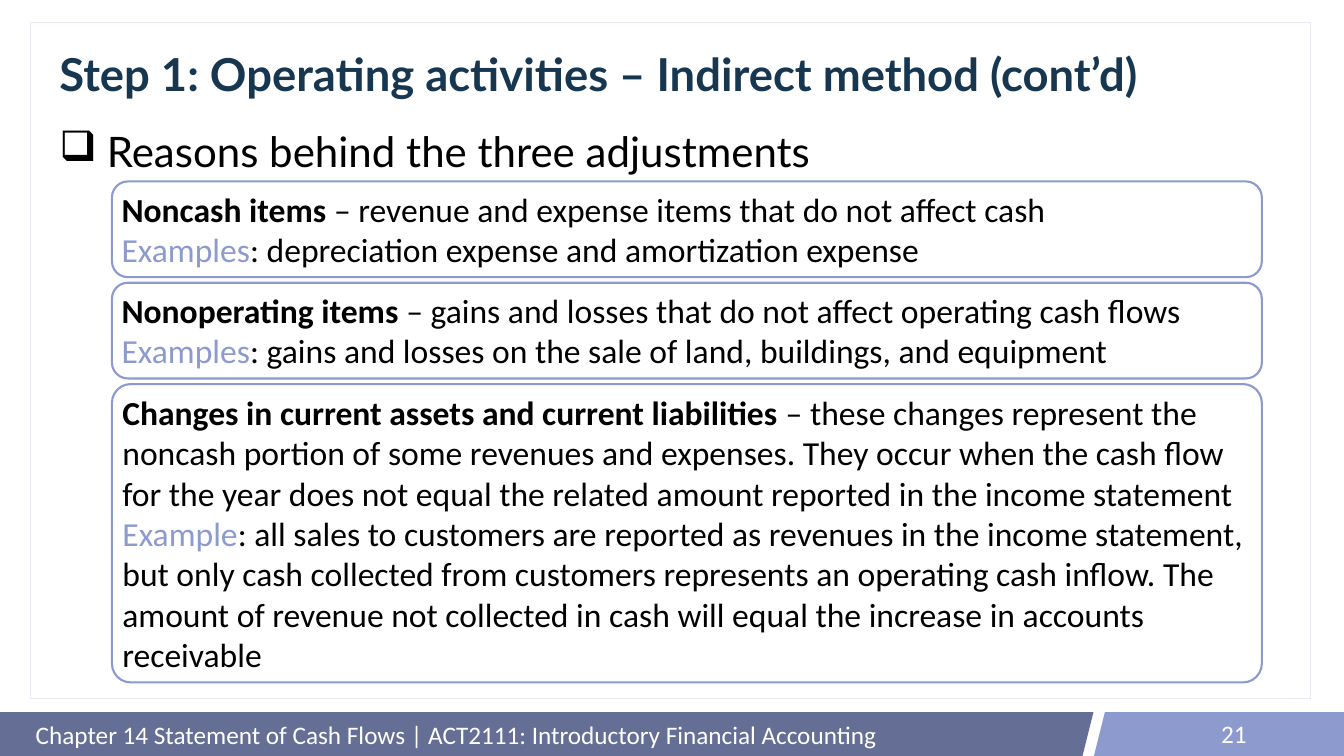
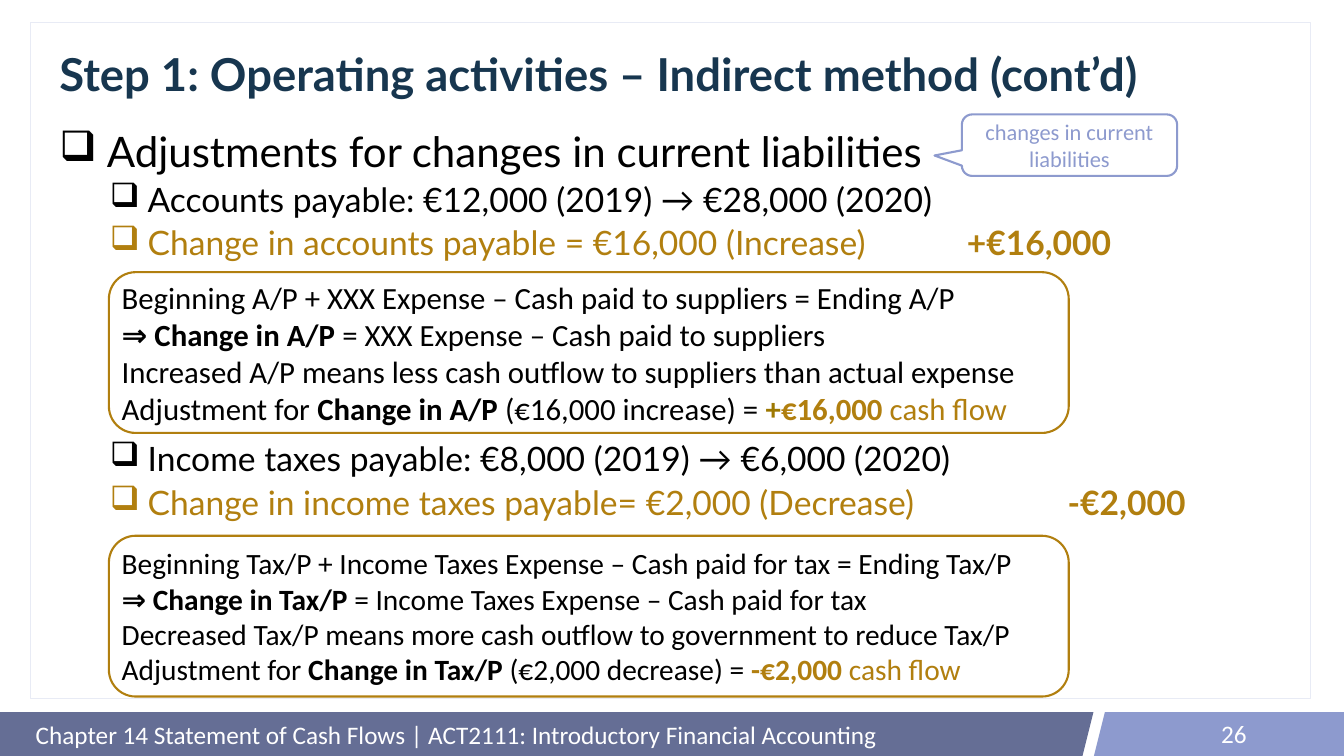
import pptx
import pptx.util
import pptx.dml.color
import pptx.enum.shapes
import pptx.enum.text
import pptx.oxml.ns
from lxml import etree

Inches, Pt = pptx.util.Inches, pptx.util.Pt
SHAPE = pptx.enum.shapes.MSO_SHAPE
ANCHOR = pptx.enum.text.MSO_ANCHOR
ALIGN = pptx.enum.text.PP_ALIGN
AUTO = pptx.enum.text.MSO_AUTO_SIZE
qn = pptx.oxml.ns.qn

COLORS = {
    "white": "FFFFFF", "black": "000000", "navy": "17364F",
    "slate": "656E95", "lilac": "8D9ACE", "frame": "E8EBF5",
    "gold": "B17F0F", "olive": "9D7801",
}
TITLE = "Step 1: Operating activities – Indirect method (cont’d)"
FOOTER = "Chapter 14 Statement of Cash Flows | ACT2111: Introductory Financial Accounting"


def rgb(name):
    return pptx.dml.color.RGBColor.from_string(COLORS[name])


class Deck:
    """Holds the shared style and the slide being built."""

    def __init__(self):
        self.prs = pptx.Presentation()
        self.prs.slide_width = Inches(26.66)
        self.prs.slide_height = Inches(15)
        self.s = None

    def slide(self, number):
        self.s = self.prs.slides.add_slide(self.prs.slide_layouts[6])
        # Footer band
        for kind, x, w, color in [
            (SHAPE.RECTANGLE, 0, 19.95, "slate"),
            (SHAPE.PARALLELOGRAM, 17.39, 4.3, "slate"),
            (SHAPE.PARALLELOGRAM, 21.7, 4.3, "lilac"),
            (SHAPE.RECTANGLE, 22.37, 4.29, "lilac"),
        ]:
            self.shape(kind, (x, 14.13, w, 0.87), color)
        # Content frame
        sp = self.shape(SHAPE.RECTANGLE, (0.61, 0.44, 25.39, 13.41), "white", "frame", 1)
        clr = sp.fill._xPr.find(qn("a:solidFill"))[0]
        etree.SubElement(clr, qn("a:alpha"), val="85000")
        # Title, footer text and page number
        tf = self.text((1.08, 0.8, 24.39, 1.45))
        p = self.para(tf, [(TITLE, "navy", True)], 64.8, "Lato")
        p.line_spacing = 0.9
        tf = self.text((0.61, 14.15, 20.6, 0.85))
        self.para(tf, [(FOOTER, "white")], 36)
        tf = self.text((18.83, 14.15, 6, 0.8))
        self.para(tf, [(str(number), "white")], 36).alignment = ALIGN.RIGHT

    def shape(self, kind, box, fill, line=None, width=3):
        sp = self.s.shapes.add_shape(kind, *map(Inches, box))
        sp.shadow.inherit = False
        sp.fill.solid()
        sp.fill.fore_color.rgb = rgb(fill)
        if line:
            sp.line.color.rgb = rgb(line)
            sp.line.width = Pt(width)
        else:
            sp.line.fill.background()
        return sp

    def text(self, box, anchor=ANCHOR.MIDDLE, fill=None):
        sp = self.s.shapes.add_textbox(*map(Inches, box))
        if fill:
            sp.fill.solid()
            sp.fill.fore_color.rgb = rgb(fill)
        tf = sp.text_frame
        tf.word_wrap = True
        tf.vertical_anchor = anchor
        return tf

    def para(self, tf, runs, size, font="Calibri"):
        """Add a paragraph; each run is (text, color, bold), the last two optional."""
        first = tf.paragraphs[0]
        p = tf.add_paragraph() if first.runs else first
        p.alignment = ALIGN.LEFT
        for text, color, bold in [(*run, "black", False)[:3] if len(run) == 1
                                  else (*run, False)[:3] for run in runs]:
            r = p.add_run()
            r.text = text
            r.font.name = font
            r.font.size = Pt(size)
            r.font.bold = bold
            r.font.color.rgb = rgb(color)
        return p

    def bullet(self, tf, runs, level=0, before=10, tab=None):
        p = self.para(tf, runs, (60, 48)[level], "Lato")
        p.level = level
        p.line_spacing = 0.9
        if level:
            p.space_before = Pt(before)
        margin, hang = ((0.94, 0.94), (1.75, 0.75))[level]
        pPr = p._p.get_or_add_pPr()
        pPr.set("marL", str(Inches(margin)))
        pPr.set("indent", str(-Inches(hang)))
        etree.SubElement(pPr, qn("a:buChar"), char="❑")
        if tab:
            tabs = etree.SubElement(pPr, qn("a:tabLst"))
            etree.SubElement(tabs, qn("a:tab"), pos=str(Inches(tab)), algn="l")

    def body(self, heading, fill=None):
        tf = self.text((1.08, 2.55, 24.39, 10.97), ANCHOR.TOP, fill)
        self.bullet(tf, [(heading,)])
        return tf

    def card(self, box, paras, size, line, anchor=ANCHOR.MIDDLE, adj=None, grow=False):
        sp = self.shape(SHAPE.ROUNDED_RECTANGLE, box, "white", line)
        if adj:
            sp.adjustments[0] = adj
        tf = sp.text_frame
        tf.word_wrap = True
        tf.vertical_anchor = anchor
        if grow:
            tf.auto_size = AUTO.SHAPE_TO_FIT_TEXT
        for runs in paras:
            self.para(tf, runs, size)

    def callout(self, box, text, adjustments):
        sp = self.shape(SHAPE.ROUNDED_RECTANGULAR_CALLOUT, box, "white", "lilac")
        for i, value in enumerate(adjustments):
            sp.adjustments[i] = value
        tf = sp.text_frame
        tf.word_wrap = True
        tf.vertical_anchor = ANCHOR.MIDDLE
        self.para(tf, [(text, "lilac")], 32).alignment = ALIGN.CENTER


def reasons(deck):
    deck.slide(21)
    deck.body("Reasons behind the three adjustments")
    # Cards: height, corner, term, meaning, example label, example
    cards = [
        (1.9, None, "Noncash items ", "– revenue and expense items that do not affect cash",
         "Examples", ": depreciation expense and amortization expense"),
        (1.9, None, "Nonoperating items ",
         "– gains and losses that do not affect operating cash flows",
         "Examples", ": gains and losses on the sale of land, buildings, and equipment"),
        (5.92, 0.063, "Changes in current assets and current liabilities ",
         "– these changes represent the noncash portion of some revenues and expenses. "
         "They occur when the cash flow for the year does not equal the related amount "
         "reported in the income statement",
         "Example", ": all sales to customers are reported as revenues in the income "
         "statement, but only cash collected from customers represents an operating cash "
         "inflow. The amount of revenue not collected in cash will equal the increase in "
         "accounts receivable"),
    ]
    y = 3.6
    for h, adj, term, meaning, label, example in cards:
        paras = [[(term, "black", True), (meaning,)], [(label, "lilac"), (example,)]]
        deck.card((2.22, y, 22.81, h), paras, 48, "lilac", ANCHOR.TOP, adj, True)
        y += h + 0.11


def liabilities(deck):
    deck.slide(26)
    tf = deck.body("Adjustments for changes in current liabilities", "white")
    # Account lines: space before, balances, change, tab stop, amount
    for before, balances, change, tab, amount in [
        (10, "Accounts payable: €12,000 (2019) → €28,000 (2020)",
         "Change in accounts payable = €16,000 (Increase)", 18, "+€16,000"),
        (257, "Income taxes payable: €8,000 (2019) → €6,000 (2020)",
         "Change in income taxes payable= €2,000 (Decrease)", 20, "-€2,000"),
    ]:
        deck.bullet(tf, [(balances,)], 1, before)
        deck.bullet(tf, [(change + "\t", "gold"), (amount, "gold", True)], 1, tab=tab)
    # Explanation cards
    for y, size, name, equation, result, meaning, change, amount in [
        (5.4, 44, "Change in A/P",
         "Beginning A/P + XXX Expense – Cash paid to suppliers = Ending A/P",
         "= XXX Expense – Cash paid to suppliers",
         "Increased A/P means less cash outflow to suppliers than actual expense",
         " (€16,000 increase) = ", [("+", "olive", True), ("€16,000 ", "gold", True)]),
        (10.63, 42, "Change in Tax/P",
         "Beginning Tax/P + Income Taxes Expense – Cash paid for tax = Ending Tax/P",
         "= Income Taxes Expense – Cash paid for tax",
         "Decreased Tax/P means more cash outflow to government to reduce Tax/P",
         " (€2,000 decrease) = ", [("-€2,000 ", "gold", True)]),
    ]:
        paras = [
            [(equation,)],
            [(f"⇒ {name} ", "black", True), (result,)],
            [(meaning,)],
            [("Adjustment for ",), (name, "black", True), (change,), *amount,
             ("cash flow", "gold")],
        ]
        deck.card((2.16, y, 19.04, 3.19), paras, size, "gold")
    deck.callout((19.08, 2.27, 4.27, 1.22), "changes in current liabilities",
                 (-0.627, 0.168, 0.167))


def main():
    deck = Deck()
    reasons(deck)
    liabilities(deck)
    deck.prs.save("out.pptx")


if __name__ == "__main__":
    main()
